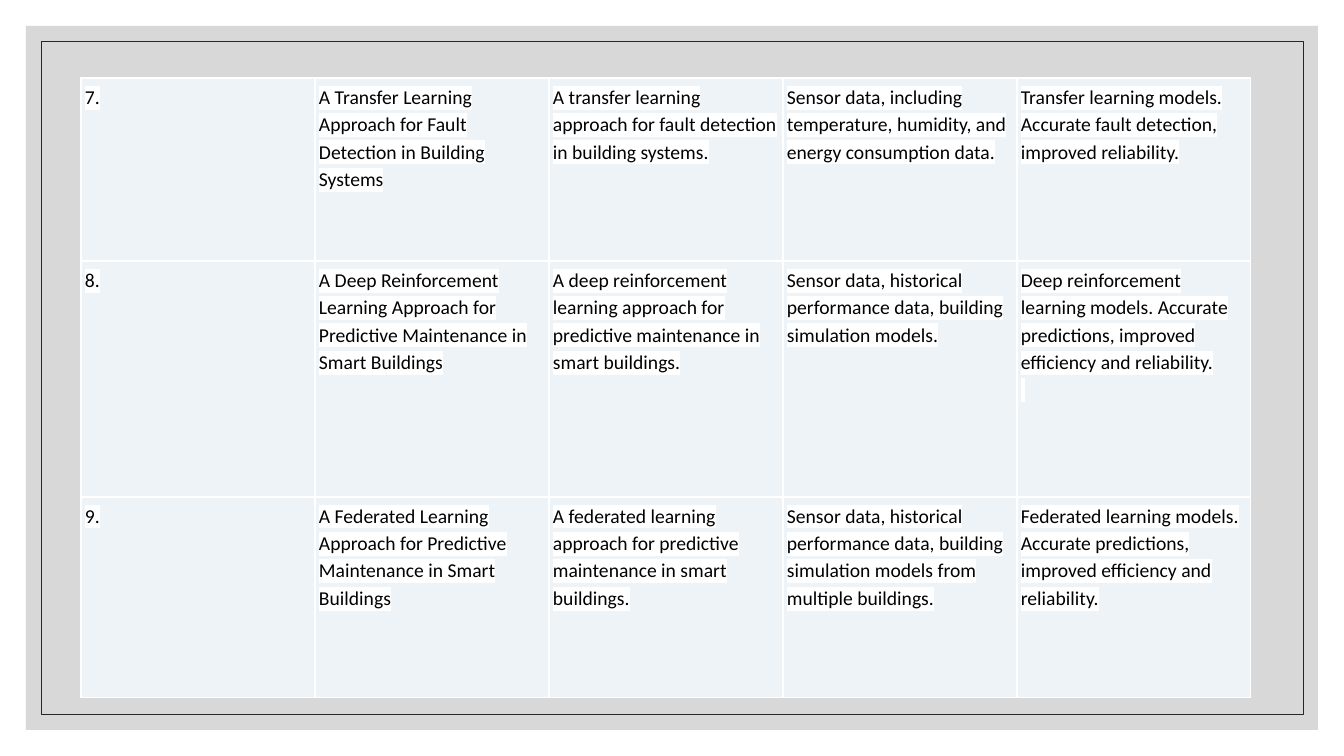
from lxml.etree import SubElement
from pptx import Presentation
from pptx.dml.color import RGBColor
from pptx.enum.shapes import MSO_SHAPE
from pptx.oxml.ns import qn
from pptx.util import Pt

# Content: number, title, approach, data, results
STUDIES = [
    ("7.",
     "A Transfer Learning Approach for Fault Detection in Building Systems",
     "A transfer learning approach for fault detection in building systems.",
     "Sensor data, including temperature, humidity, and energy consumption data.",
     "Transfer learning models. Accurate fault detection, improved reliability."),
    ("8.",
     "A Deep Reinforcement Learning Approach for Predictive Maintenance in Smart Buildings",
     "A deep reinforcement learning approach for predictive maintenance in smart buildings.",
     "Sensor data, historical performance data, building simulation models.",
     "Deep reinforcement learning models. Accurate predictions, improved efficiency "
     "and reliability.\n "),
    ("9.",
     "A Federated Learning Approach for Predictive Maintenance in Smart Buildings",
     "A federated learning approach for predictive maintenance in smart buildings.",
     "Sensor data, historical performance data, building simulation models from "
     "multiple buildings.",
     "Federated learning models. Accurate predictions, improved efficiency and reliability."),
]

# Layout in px
SCALE = 914400 / 100.8
SLIDE_SIZE = (1344, 756)
PANEL = (26, 26, 1292, 704)
FRAME = (41, 41, 1262, 673)
TABLE_LEFT, TABLE_TOP = 81, 78
COLUMN_WIDTH = 234
ROW_HEIGHTS = [183, 236, 201]
CELL_MARGIN = 4

# Format
WHITE, PANEL_GREY, FRAME_GREY, CELL_BLUE, BLACK = (
    "FFFFFF", "BFBFBF", "262626", "EEF3F7", "000000")
PANEL_ALPHA = 60
FONT_FORMAT = {"name": "Calibri", "size": Pt(14)}
CELL_FORMAT = {side: round(CELL_MARGIN * SCALE) for side in
               ("margin_left", "margin_right", "margin_top", "margin_bottom")}
TABLE_FORMAT = {"first_row": False, "horz_banding": False}


def px(length):
    return round(length * SCALE)


def color(value):
    return RGBColor.from_string(value)


def apply(target, values):
    for name, value in values.items():
        setattr(target, name, value)


def add_rectangle(slide, box):
    shape = slide.shapes.add_shape(MSO_SHAPE.RECTANGLE, *map(px, box))
    shape.shadow.inherit = False
    return shape


def add_solid(parent, tag, value):
    SubElement(SubElement(parent, qn(tag)), qn("a:srgbClr"), val=value)


def border_cell(cell):
    properties = cell._tc.get_or_add_tcPr()
    for side in ("a:lnL", "a:lnR", "a:lnT", "a:lnB"):
        border = SubElement(properties, qn(side), w=str(Pt(1)))
        add_solid(border, "a:solidFill", WHITE)


def format_run(run):
    apply(run.font, FONT_FORMAT)
    run.font.color.rgb = color(BLACK)
    properties = run.font._element
    add_solid(properties, "a:highlight", WHITE)
    # The highlight belongs right after the text fill
    properties.find(qn("a:solidFill")).addnext(properties.find(qn("a:highlight")))


def fill_cell(cell, text):
    apply(cell, CELL_FORMAT)
    border_cell(cell)
    cell.fill.solid()
    cell.fill.fore_color.rgb = color(CELL_BLUE)
    cell.text = text
    for paragraph in cell.text_frame.paragraphs:
        paragraph.line_spacing = 1.15
        for run in paragraph.runs:
            format_run(run)


def main():
    presentation = Presentation()
    presentation.slide_width, presentation.slide_height = map(px, SLIDE_SIZE)
    slide = presentation.slides.add_slide(presentation.slide_layouts[6])

    # Translucent panel
    panel = add_rectangle(slide, PANEL)
    panel.fill.solid()
    panel.fill.fore_color.rgb = color(PANEL_GREY)
    panel.line.fill.background()
    panel_color = panel._element.spPr.find(qn("a:solidFill")).find(qn("a:srgbClr"))
    SubElement(panel_color, qn("a:alpha"), val=str(PANEL_ALPHA * 1000))

    # Thin frame
    frame = add_rectangle(slide, FRAME)
    frame.fill.background()
    frame.line.color.rgb = color(FRAME_GREY)
    frame.line.width = Pt(0.5)

    # Table of studies
    column_count = len(STUDIES[0])
    table = slide.shapes.add_table(
        len(STUDIES), column_count, px(TABLE_LEFT), px(TABLE_TOP),
        px(COLUMN_WIDTH * column_count), px(sum(ROW_HEIGHTS))).table
    apply(table, TABLE_FORMAT)
    for column in table.columns:
        column.width = px(COLUMN_WIDTH)
    for row, height, study in zip(table.rows, ROW_HEIGHTS, STUDIES):
        row.height = px(height)
        for cell, text in zip(row.cells, study):
            fill_cell(cell, text)

    presentation.save("out.pptx")


if __name__ == "__main__":
    main()
